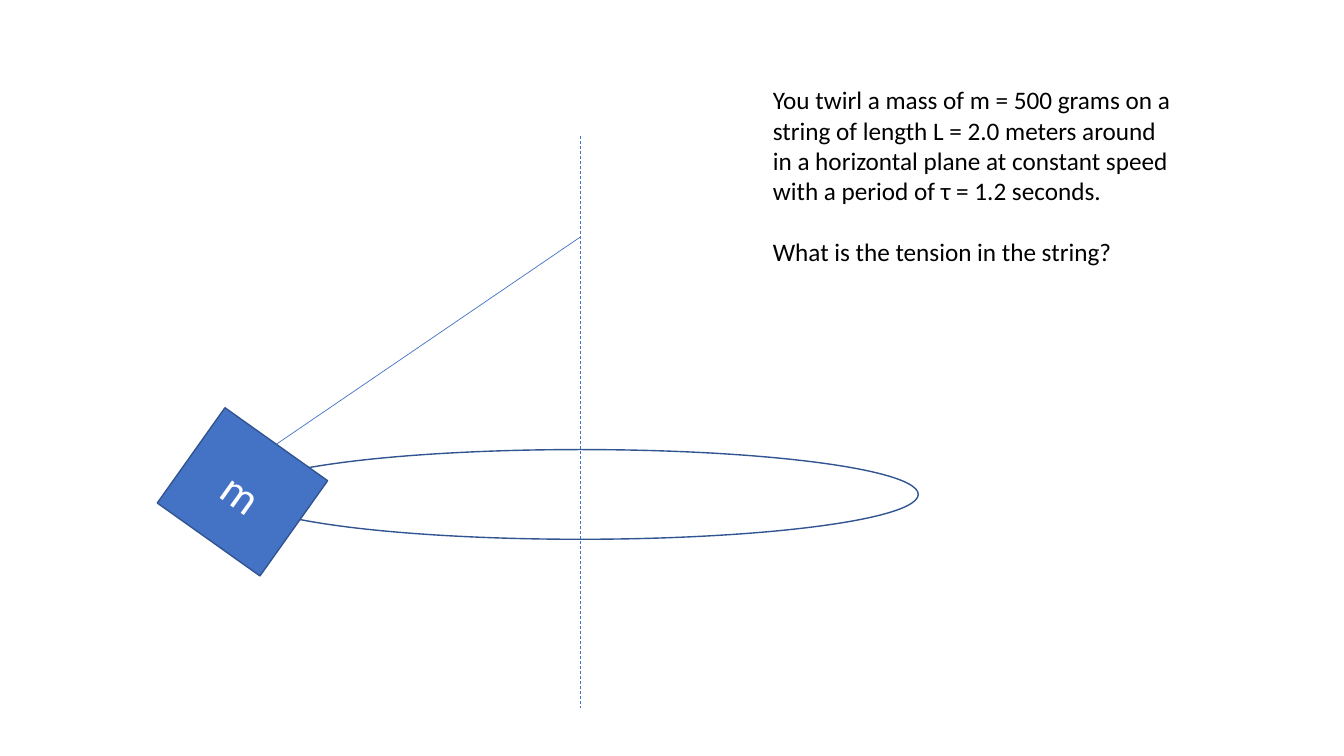
"""Build a slide with a conical pendulum problem and its sketch."""
from math import cos, radians, sin

from lxml import etree
from pptx import Presentation
from pptx.dml.color import RGBColor
from pptx.enum.dml import MSO_LINE
from pptx.enum.shapes import MSO_CONNECTOR, MSO_SHAPE
from pptx.enum.text import MSO_ANCHOR, MSO_AUTO_SIZE, PP_ALIGN
from pptx.oxml.ns import qn
from pptx.util import Pt

RECT, OVAL = MSO_SHAPE.RECTANGLE, MSO_SHAPE.OVAL
STRAIGHT, DASH = MSO_CONNECTOR.STRAIGHT, MSO_LINE.DASH
CENTER, MIDDLE = PP_ALIGN.CENTER, MSO_ANCHOR.MIDDLE
GROW = MSO_AUTO_SIZE.SHAPE_TO_FIT_TEXT

PROBLEM = [
    "You twirl a mass of m = 500 grams on a string of length L = 2.0 meters "
    "around in a horizontal plane at constant speed with a period of "
    "τ = 1.2 seconds.",
    "What is the tension in the string?",
]
PROBLEM_BOX = (545, 57, 305.3, 138.2)
MASS_LABEL = "m"
MASS_BOX = (128.2, 309.6, 90, 83.5)
MASS_ANGLE = 35.4
ORBIT_BOX = (172.8, 321.1, 483.1, 64.1)
AXIS_X, AXIS_TOP, AXIS_BOTTOM = 414.7, 97.2, 505.4
PIVOT_Y = 169.2
BLUE, DARK_BLUE, WHITE, BLACK = "4472C4", "325491", "FFFFFF", "000000"


def color(value):
    return RGBColor.from_string(value)


def add_text(p, text, size, value, **formats):
    r = p.add_run()
    r.text = text
    r.font.color.rgb = color(value)
    for name, setting in {"name": "Calibri", "size": Pt(size)}.items():
        setattr(r.font, name, setting)
    for name, setting in formats.items():
        setattr(p, name, setting)


def add_shape(slide, kind, box, fill=None):
    sp = slide.shapes.add_shape(kind, *map(Pt, box))
    sp.shadow.inherit = False
    if fill:
        sp.fill.solid()
        sp.fill.fore_color.rgb = color(fill)
    else:
        sp.fill.background()
    sp.line.color.rgb = color(DARK_BLUE)
    sp.line.width = Pt(1)
    return sp


def add_line(slide, *ends):
    line = slide.shapes.add_connector(STRAIGHT, *map(Pt, ends))
    line.line.color.rgb = color(BLUE)
    line.line.width = Pt(0.5)
    etree.SubElement(line._element.spPr, qn("a:effectLst"))
    return line


def main():
    prs = Presentation()
    prs.slide_width, prs.slide_height = Pt(960), Pt(540)
    slide = prs.slides.add_slide(prs.slide_layouts[6])

    add_shape(slide, OVAL, ORBIT_BOX)
    mass = add_shape(slide, RECT, MASS_BOX, BLUE)
    mass.rotation = MASS_ANGLE
    tf = mass.text_frame
    tf.vertical_anchor = MIDDLE
    add_text(tf.paragraphs[0], MASS_LABEL, 32, WHITE, alignment=CENTER)

    left, top, width, height = MASS_BOX
    angle = radians(MASS_ANGLE)
    knot_x = left + width / 2 + height / 2 * sin(angle)
    knot_y = top + height / 2 - height / 2 * cos(angle)
    string = add_line(slide, knot_x, knot_y, AXIS_X, PIVOT_Y)
    string.begin_connect(mass, 0)
    string.begin_x, string.begin_y = Pt(knot_x), Pt(knot_y)

    tf = slide.shapes.add_textbox(*map(Pt, PROBLEM_BOX)).text_frame
    for name, setting in {"word_wrap": True, "auto_size": GROW}.items():
        setattr(tf, name, setting)
    statement, question = PROBLEM
    add_text(tf.paragraphs[0], statement, 18, BLACK)
    add_text(tf.add_paragraph(), question, 18, BLACK, space_before=Pt(22))

    axis = add_line(slide, AXIS_X, AXIS_TOP, AXIS_X, AXIS_BOTTOM)
    axis.line.dash_style = DASH

    prs.save("out.pptx")


if __name__ == "__main__":
    main()
